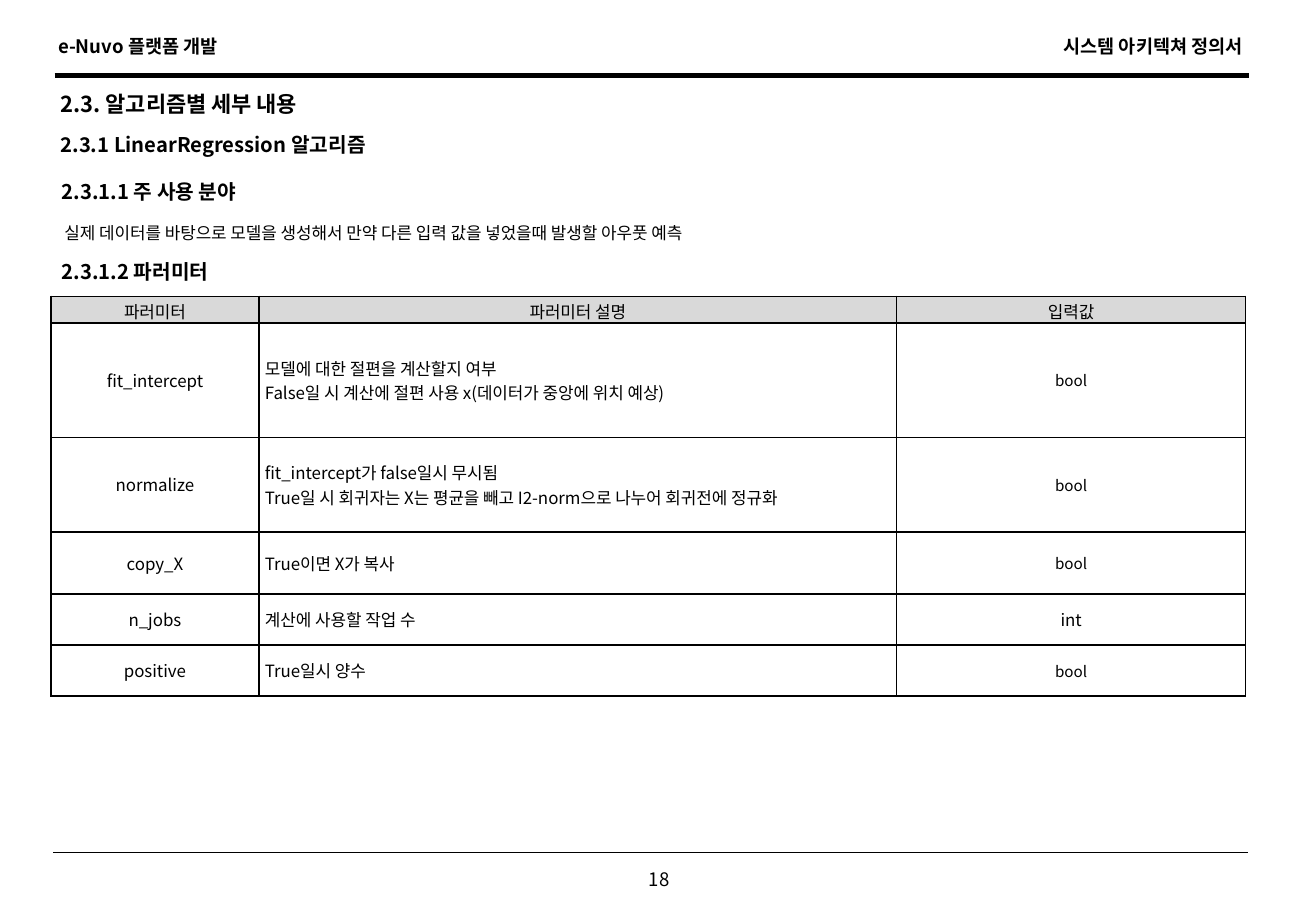
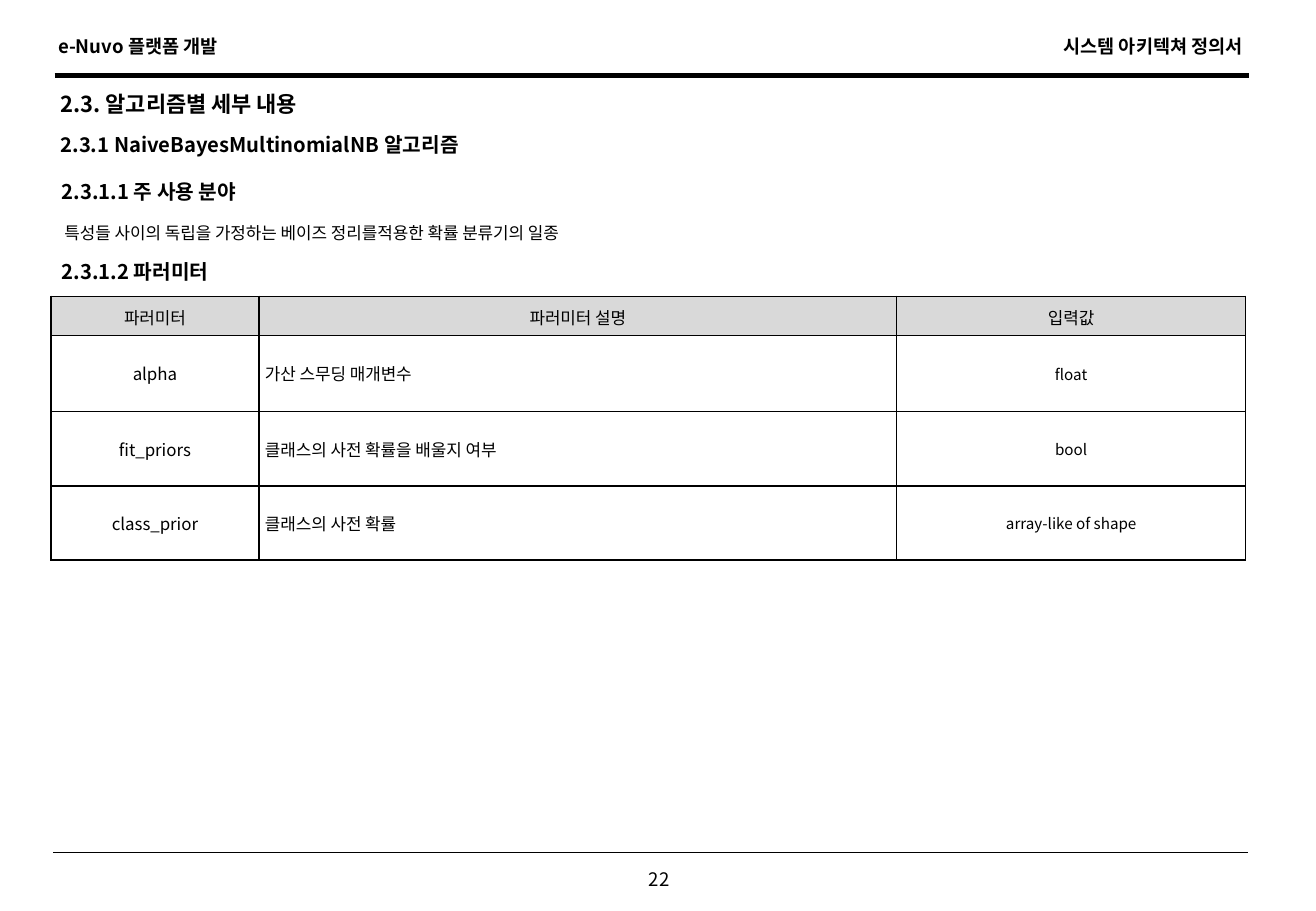
from pptx import Presentation
from pptx.dml.color import RGBColor
from pptx.enum.text import MSO_ANCHOR, MSO_AUTO_SIZE, PP_ALIGN
from pptx.enum.shapes import MSO_CONNECTOR
from pptx.oxml.ns import qn
from pptx.util import Emu, Pt
from lxml.etree import SubElement

FONT = "Noto Sans CJK KR"
INK, GREY = "000000", "D9D9D9"
LEFT, MID, RIGHT = PP_ALIGN.LEFT, PP_ALIGN.CENTER, PP_ALIGN.RIGHT
WIDE, HIGH = 1083, 750
COLS = 171, 525, 287
HEADS = "파러미터", "파러미터 설명", "입력값"

PAGES = [
    dict(
        page="18", name="LinearRegression",
        use="실제 데이터를 바탕으로 모델을 생성해서 만약 다른 입력 값을 넣었을때 발생할 아우풋 예측",
        highs=[22, 94, 78, 51, 42, 42],
        rows=[
            ("fit_intercept",
             "모델에 대한 절편을 계산할지 여부\n"
             "False일 시 계산에 절편 사용 x(데이터가 중앙에 위치 예상)", "bool"),
            ("normalize",
             "fit_intercept가 false일시 무시됨\n"
             "True일 시 회귀자는 X는 평균을 빼고 I2-norm으로 나누어 회귀전에 정규화", "bool"),
            ("copy_X", "True이면 X가 복사", "bool"),
            ("n_jobs", "계산에 사용할 작업 수", "int"),
            ("positive", "True일시 양수", "bool"),
        ]),
    dict(
        page="22", name="NaiveBayesMultinomialNB",
        use="특성들 사이의 독립을 가정하는 베이즈 정리를적용한 확률 분류기의 일종",
        highs=[32, 63, 61, 61],
        rows=[
            ("alpha", "가산 스무딩 매개변수", "float"),
            ("fit_priors", "클래스의 사전 확률을 배울지 여부", "bool"),
            ("class_prior", "클래스의 사전 확률", "array-like of shape"),
        ]),
]


def px(n):
    """Turn px, 100 to the inch, into EMU."""
    return Emu(n * 9144)


def color(code):
    return RGBColor.from_string(code)


def write(frame, text, size=10, bold=False, align=LEFT):
    """Fill a text frame, one paragraph for each line of text."""
    frame.text = text
    for para in frame.paragraphs:
        para.alignment = align
        for run in para.runs:
            font = run.font
            font.size, font.bold, font.name = Pt(size), bold, FONT
            font.color.rgb = color(INK)
            SubElement(run._r.get_or_add_rPr(), qn("a:ea"), typeface=FONT)


def label(slide, box, text, pad=(10, 5), anchor=MSO_ANCHOR.MIDDLE,
          shape=None, **style):
    """Place text in a new text box, or in the shape that is given."""
    area = [px(n) for n in box]
    if shape is None:
        shape = slide.shapes.add_textbox(*area)
    else:
        shape.left, shape.top, shape.width, shape.height = area
    frame = shape.text_frame
    frame.word_wrap, frame.auto_size = True, MSO_AUTO_SIZE.NONE
    frame.vertical_anchor = anchor
    frame.margin_left = frame.margin_right = px(pad[0])
    frame.margin_top = frame.margin_bottom = px(pad[1])
    write(frame, text, **style)


def rule(slide, x, y, width, weight):
    line = slide.shapes.add_connector(
        MSO_CONNECTOR.STRAIGHT, px(x), px(y), px(x + width), px(y))
    line.line.color.rgb, line.line.width = color(INK), Pt(weight)
    SubElement(line._element.spPr, qn("a:effectLst"))


def header(slide, x, y, width):
    top = dict(anchor=MSO_ANCHOR.TOP, size=11, bold=True)
    label(slide, (x, y, 170, 29), "e-Nuvo 플랫폼 개발", **top)
    label(slide, (x + width - 185, y, 185, 29), "시스템 아키텍쳐 정의서",
          align=RIGHT, **top)
    rule(slide, x + 7, y + 38, 983, 2.75)


def footer(slide, x, y, width, page):
    rule(slide, x, y, width, 0.75)
    label(slide, (x + width // 2 - 14, y + 8, 43, 29), page,
          anchor=MSO_ANCHOR.TOP, size=11, align=MID)


def intro(slide, x, y, width, name, use):
    """Stack the headings and the sentence on the field of use."""
    label(slide, (x, y, width, 41), "2.3. 알고리즘별 세부 내용",
          shape=slide.shapes.title, size=13, bold=True)
    heads = [(0, 33, f"2.3.1 {name} 알고리즘"),
             (1, 72, "2.3.1.1 주 사용 분야"),
             (1, 138, "2.3.1.2 파러미터")]
    for dx, dy, text in heads:
        label(slide, (x + dx, y + dy, width, 41), text, size=12, bold=True)
    label(slide, (x + 9, y + 110, width, 34), use, pad=(4, 4))


def border(cell):
    props = cell._tc.get_or_add_tcPr()
    for i, side in enumerate("LRTB"):
        edge = SubElement(props, qn(f"a:ln{side}"), w=str(Pt(1)))
        fill = SubElement(edge, qn("a:solidFill"))
        SubElement(fill, qn("a:srgbClr"), val=INK)
        props.insert(i, edge)


def grid(slide, x, y, highs, rows):
    """Draw the parameter table with its grey head row."""
    table = slide.shapes.add_table(
        len(highs), len(COLS), px(x), px(y), px(sum(COLS)),
        px(sum(highs))).table
    table.first_row = table.horz_banding = False
    for col, width in zip(table.columns, COLS):
        col.width = px(width)
    for i, (row, high, texts) in enumerate(
            zip(table.rows, highs, [HEADS, *rows])):
        row.height = px(high)
        for j, (cell, text) in enumerate(zip(row.cells, texts)):
            head = i == 0
            cell.vertical_anchor = MSO_ANCHOR.MIDDLE
            cell.margin_left = cell.margin_right = px(5)
            cell.margin_top = px(2 if head else 3)
            cell.margin_bottom = px(0 if head else 3)
            if head:
                cell.fill.solid()
                cell.fill.fore_color.rgb = color(GREY)
            else:
                cell.fill.background()
            border(cell)
            small = not head and j == 2 and text != "int"
            write(cell.text_frame, text, size=9 if small else 10,
                  align=MID if head or j != 1 else LEFT)


def build(deck, page, name, use, highs, rows):
    slide = deck.slides.add_slide(deck.slide_layouts[5])
    header(slide, 38, 24, 995)
    intro(slide, 40, 65, 975, name, use)
    grid(slide, 42, 244, highs, rows)
    footer(slide, 44, 702, 983, page)


def main():
    deck = Presentation()
    deck.slide_width, deck.slide_height = px(WIDE), px(HIGH)
    for data in PAGES:
        build(deck, **data)
    deck.save("out.pptx")


if __name__ == "__main__":
    main()
